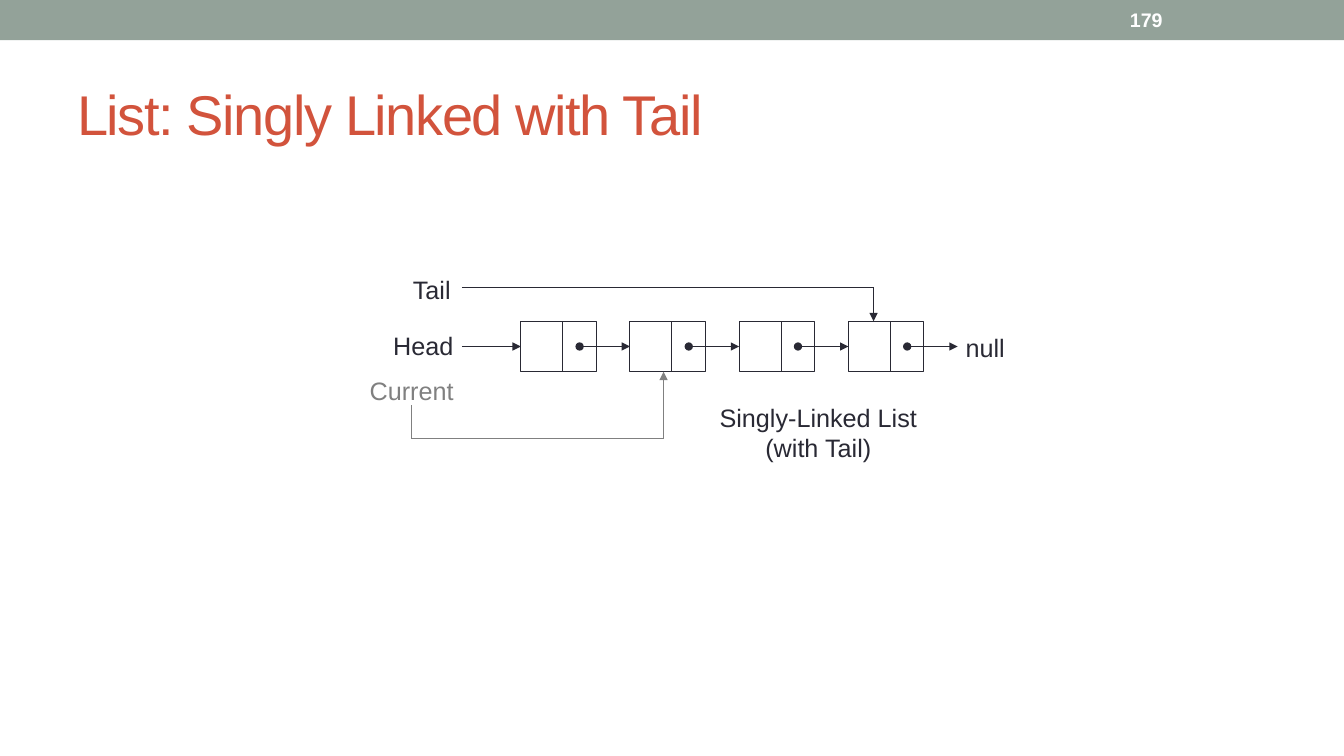
from pptx import Presentation
from pptx.dml.color import RGBColor
from pptx.enum import shapes, text
from pptx.oxml import parse_xml
from pptx.oxml.ns import nsdecls, qn
from pptx.util import Pt

HUES = {"band": "93A299", "title": "D2533C", "white": "FFFFFF",
        "ink": "292934", "gray": "808080"}
MID, TOP = text.MSO_ANCHOR.MIDDLE, text.MSO_ANCHOR.TOP
LEFT, MIDST = text.PP_ALIGN.LEFT, text.PP_ALIGN.CENTER

deck = Presentation()
deck.slide_width, deck.slide_height = Pt(960), Pt(540)
slide = deck.slides.add_slide(deck.slide_layouts[6])


def label(words, place, hue="ink", size=18, align=MIDST, anchor=MID,
          wrap=False, bold=False, inset=7.2):
    box = slide.shapes.add_textbox(*map(Pt, place))
    frame = box.text_frame
    frame.text = words
    frame.word_wrap, frame.vertical_anchor = wrap, anchor
    frame.margin_left = frame.margin_right = Pt(inset)
    look = {"name": "Arial", "size": Pt(size), "bold": bold}
    for para in frame.paragraphs:
        para.alignment = align
        for run in para.runs:
            for key, value in look.items():
                setattr(run.font, key, value)
            run.font.color.rgb = RGBColor.from_string(HUES[hue])
    return box


def link(points, hue="ink", dot=False):
    """Draw straight segments through the points, with an arrow at the end."""
    for start, end in zip(points, points[1:]):
        line = slide.shapes.add_connector(shapes.MSO_CONNECTOR.STRAIGHT,
                                          *map(Pt, start + end))
        line.line.width = Pt(0.75)
        line.line.color.rgb = RGBColor.from_string(HUES[hue])
        pen = line.line._get_or_add_ln()
        if dot:
            pen.append(parse_xml(f'<a:headEnd {nsdecls("a")} type="oval"/>'))
        if end == points[-1]:
            pen.append(parse_xml(f'<a:tailEnd {nsdecls("a")} type="triangle"/>'))
        line._element.spPr.append(pen.makeelement(qn("a:effectLst")))


band = slide.shapes.add_shape(shapes.MSO_SHAPE.RECTANGLE, 0, 0, Pt(960), Pt(28.8))
band.shadow.inherit = False
band.fill.solid()
band.fill.fore_color.rgb = RGBColor.from_string(HUES["band"])
band.line.fill.background()

title = label("List: Singly Linked with Tail", (48, 42, 864, 78), "title", 40, LEFT, wrap=True)
title.text_frame.paragraphs[0].runs[0].font._element.set("spc", "-100")
label("179", (800, 1.4, 112, 26), "white", 14, LEFT, wrap=True, bold=True)

# List nodes: a data cell and a pointer cell each
ROW, TALL, DATA, NEXT, STEP = 229.5, 36, 30, 24, 78
axis, foot = ROW + TALL / 2, ROW + TALL
nodes = [372 + STEP * i for i in range(4)]
for x in nodes:
    for left, wide in ((x, DATA), (x + DATA, NEXT)):
        cell = slide.shapes.add_shape(shapes.MSO_SHAPE.RECTANGLE,
                                      Pt(left), Pt(ROW), Pt(wide), Pt(TALL))
        cell.shadow.inherit = False
        cell.fill.background()
        cell.line.width = Pt(0.75)
        cell.line.color.rgb = RGBColor.from_string(HUES["ink"])
    dot = x + DATA + NEXT / 2
    link([(dot, axis), (x + STEP, axis)], dot=True)

# Pointers into the list
link([(330, axis), (nodes[0], axis)])
link([(330, 205.5), (624, 205.5), (624, ROW)])
link([(294, 289.5), (294, 313.5), (474, 313.5), (474, foot)], "gray")

for name, left, top, hue in (("Tail", 272.4, 191.8, "ink"),
                             ("Head", 266.4, 231.7, "ink"),
                             ("Current", 258, 264, "gray")):
    label(name, (left, top, 72, 30), hue, inset=0)
label("null", (682.6, 234, 43, 29), align=LEFT, anchor=TOP)
label("Singly-Linked List\n(with Tail)", (506, 283.7, 157, 51), anchor=TOP)

deck.save("out.pptx")
